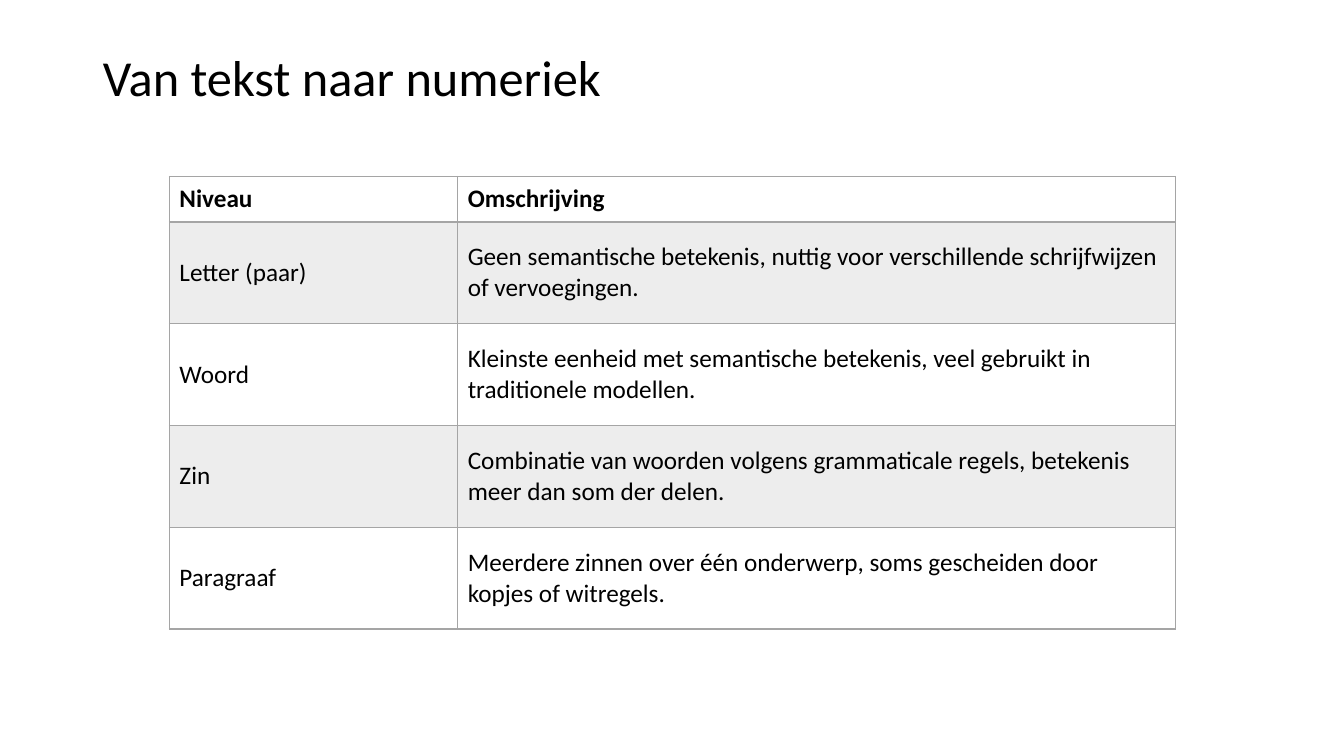
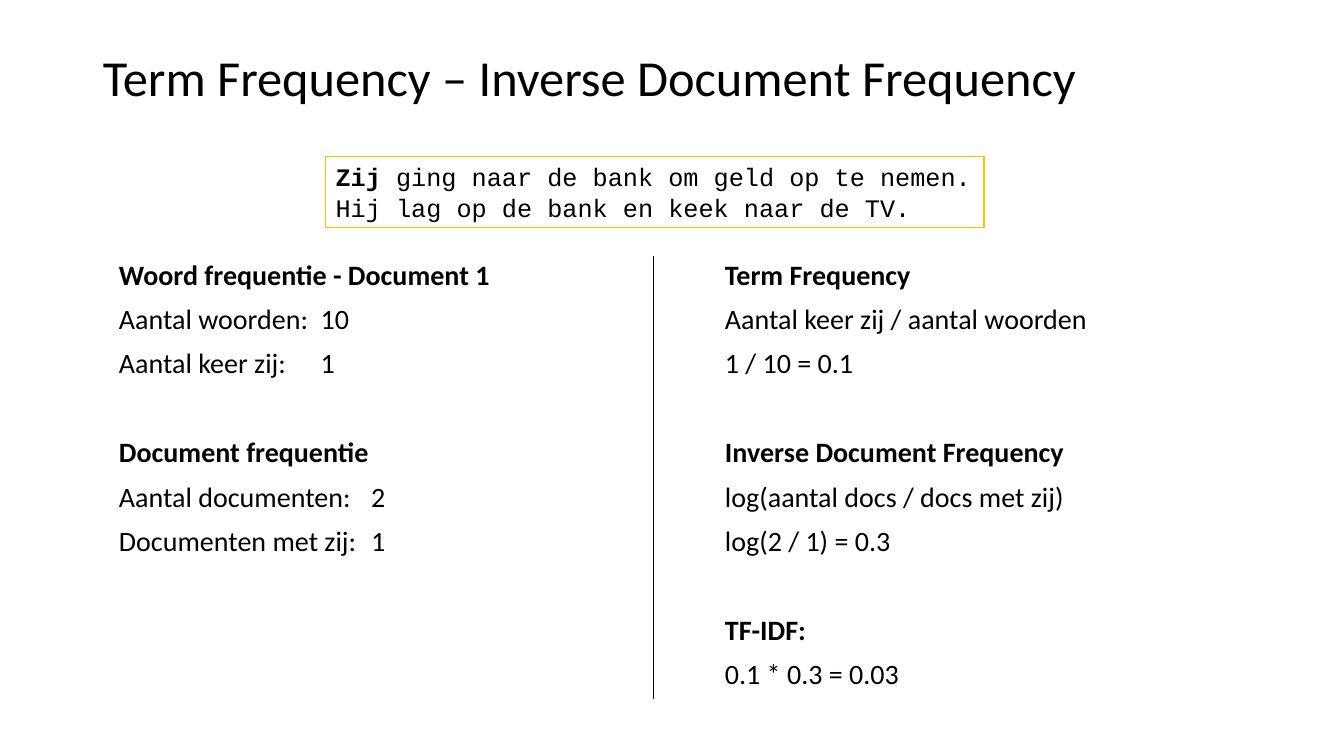
import dataclasses

import lxml.etree
import pptx
import pptx.dml.color
import pptx.enum.shapes
import pptx.enum.text
import pptx.oxml.ns
import pptx.util

Inches = pptx.util.Inches
Pt = pptx.util.Pt
qn = pptx.oxml.ns.qn
MIDDLE = pptx.enum.text.MSO_ANCHOR.MIDDLE
LEFT = pptx.enum.text.PP_ALIGN.LEFT


def rgb(code):
    return pptx.dml.color.RGBColor.from_string(code)


def sub(parent, tag, **attrs):
    return lxml.etree.SubElement(parent, qn(tag), **attrs)


@dataclasses.dataclass(frozen=True)
class Theme:
    sans: str = "Calibri"
    mono: str = "Courier New"
    ink: str = "000000"
    paper: str = "FFFFFF"
    grid: str = "A5A5A5"
    band: str = "EDEDED"
    accent: str = "FFC000"
    title: int = 36
    body: int = 20
    small: int = 18
    tight: float = 0.9
    gap: int = 10
    skip: int = 42


class Deck:
    def __init__(self, theme):
        self.theme = theme
        self.prs = pptx.Presentation()
        self.prs.slide_width = Inches(13.33)
        self.prs.slide_height = Inches(7.5)
        self.slide = None

    def start(self, layout, title):
        """Add a slide and fill its title."""
        self.slide = self.prs.slides.add_slide(self.prs.slide_layouts.get_by_name(layout))
        shape = self.slide.shapes.title
        self.place(shape, 0.92, 0.4, 11.5, 0.79)
        frame = shape.text_frame
        frame.text = title
        frame.vertical_anchor = MIDDLE
        frame.auto_size = pptx.enum.text.MSO_AUTO_SIZE.NONE
        para = frame.paragraphs[0]
        para.alignment = LEFT
        para.line_spacing = self.theme.tight
        self.style(para, self.theme.title)

    def place(self, shape, left, top, width, height):
        shape.left, shape.top = Inches(left), Inches(top)
        shape.width, shape.height = Inches(width), Inches(height)

    def style(self, para, size, bold=False, face=None):
        font = para.font
        font.name = face or self.theme.sans
        font.size = Pt(size)
        font.bold = bold
        font.color.rgb = rgb(self.theme.ink)

    def column(self, index, left, top, width, height, groups, stop=None):
        """Fill a body placeholder; the first line of each group is its heading."""
        shape = self.slide.placeholders[index]
        self.place(shape, left, top, width, height)
        frame = shape.text_frame
        frame.auto_size = pptx.enum.text.MSO_AUTO_SIZE.NONE
        para = None
        for group in groups:
            for row, line in enumerate(group):
                if para is None:
                    para, space = frame.paragraphs[0], 0
                else:
                    para = frame.add_paragraph()
                    space = self.theme.gap if row else self.theme.skip
                para.text = line
                para.line_spacing = self.theme.tight
                para.space_before = Pt(space)
                props = para._p.get_or_add_pPr()
                props.set("marL", "0")
                props.set("indent", "0")
                sub(props, "a:buNone")
                if stop and row:
                    tabs = sub(props, "a:tabLst")
                    sub(tabs, "a:tab", pos=str(Inches(stop)), algn="r")
                self.style(para, self.theme.body, bold=row == 0)

    def table(self, left, top, widths, heights, rows):
        frame = self.slide.shapes.add_table(
            len(rows), len(widths), Inches(left), Inches(top),
            Inches(sum(widths)), Inches(sum(heights)))
        table = frame.table
        table.first_row = table.horz_banding = False
        for col, width in zip(table.columns, widths):
            col.width = Inches(width)
        for r, (texts, height) in enumerate(zip(rows, heights)):
            table.rows[r].height = Inches(height)
            for c, text in enumerate(texts):
                self.cell(table.cell(r, c), text, head=r == 0, band=r % 2 == 1)

    def cell(self, cell, text, head, band):
        cell.text = text
        cell.vertical_anchor = MIDDLE
        self.style(cell.text_frame.paragraphs[0], self.theme.small, bold=head)
        props = cell._tc.get_or_add_tcPr()
        for side in "LRTB":
            width = 2 if head and side == "B" else 1
            line = sub(props, "a:ln" + side, w=str(Pt(width)))
            sub(sub(line, "a:solidFill"), "a:srgbClr", val=self.theme.grid)
        cell.fill.solid()
        cell.fill.fore_color.rgb = rgb(self.theme.band if band else self.theme.paper)

    def rule(self, x, top, end):
        """Draw a vertical line."""
        line = self.slide.shapes.add_connector(
            pptx.enum.shapes.MSO_CONNECTOR.STRAIGHT,
            Inches(x), Inches(top), Inches(x), Inches(end))
        line.line.color.rgb = rgb(self.theme.ink)
        line.line.width = Pt(1)
        sub(line._element.spPr, "a:effectLst")

    def sample(self, left, top, width, height, lines):
        """Draw a framed text sample; each line is a list of (text, bold) runs."""
        box = self.slide.shapes.add_shape(
            pptx.enum.shapes.MSO_SHAPE.RECTANGLE,
            Inches(left), Inches(top), Inches(width), Inches(height))
        box.shadow.inherit = False
        box.fill.solid()
        box.fill.fore_color.rgb = rgb(self.theme.paper)
        box.line.color.rgb = rgb(self.theme.accent)
        box.line.width = Pt(1)
        frame = box.text_frame
        frame.word_wrap = False
        for row, runs in enumerate(lines):
            para = frame.add_paragraph() if row else frame.paragraphs[0]
            para.alignment = LEFT
            self.style(para, self.theme.small, face=self.theme.mono)
            for text, bold in runs:
                run = para.add_run()
                run.text = text
                if bold:
                    run.font.bold = True


def main():
    deck = Deck(Theme())

    deck.start("Title Only", "Van tekst naar numeriek")
    deck.table(1.68, 1.75, [2.86, 7.12], [0.45] + [1.01] * 4, [
        ("Niveau", "Omschrijving"),
        ("Letter (paar)", "Geen semantische betekenis, nuttig voor verschillende "
                          "schrijfwijzen of vervoegingen."),
        ("Woord", "Kleinste eenheid met semantische betekenis, veel gebruikt in "
                  "traditionele modellen."),
        ("Zin", "Combinatie van woorden volgens grammaticale regels, betekenis "
                "meer dan som der delen."),
        ("Paragraaf", "Meerdere zinnen over één onderwerp, soms gescheiden door "
                      "kopjes of witregels."),
    ])

    deck.start("Two Content", "Term Frequency – Inverse Document Frequency")
    top, height = 2.54, 4.39
    deck.column(1, 1.08, top, 5.16, height, [
        ("Woord frequentie - Document 1", "Aantal woorden:\t10", "Aantal keer zij:\t1"),
        ("Document frequentie", "Aantal documenten:\t2", "Documenten met zij:\t1"),
    ], stop=4.28)
    deck.column(2, 7.09, top, 5.58, height, [
        ("Term Frequency", "Aantal keer zij / aantal woorden", "1 / 10 = 0.1"),
        ("Inverse Document Frequency", "log(aantal docs / docs met zij)",
         "log(2 / 1) = 0.3"),
        ("TF-IDF:", "0.1 * 0.3 = 0.03"),
    ])
    deck.rule(6.48, top, top + height)
    deck.sample(3.23, 1.55, 6.53, 0.71, [
        [("Zij ", True), ("ging naar de bank om geld op te nemen.", False)],
        [("Hij lag op de bank en keek naar de TV.", False)],
    ])

    deck.prs.save("out.pptx")


if __name__ == "__main__":
    main()
